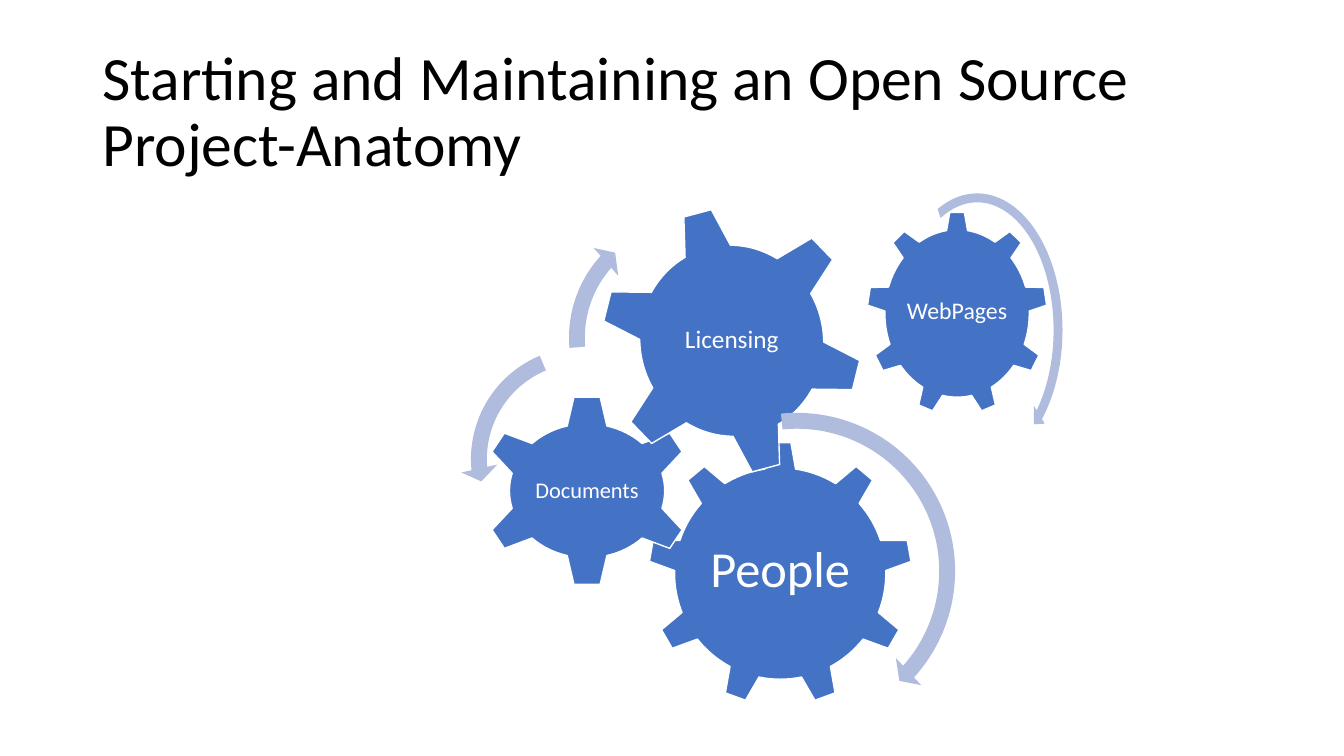
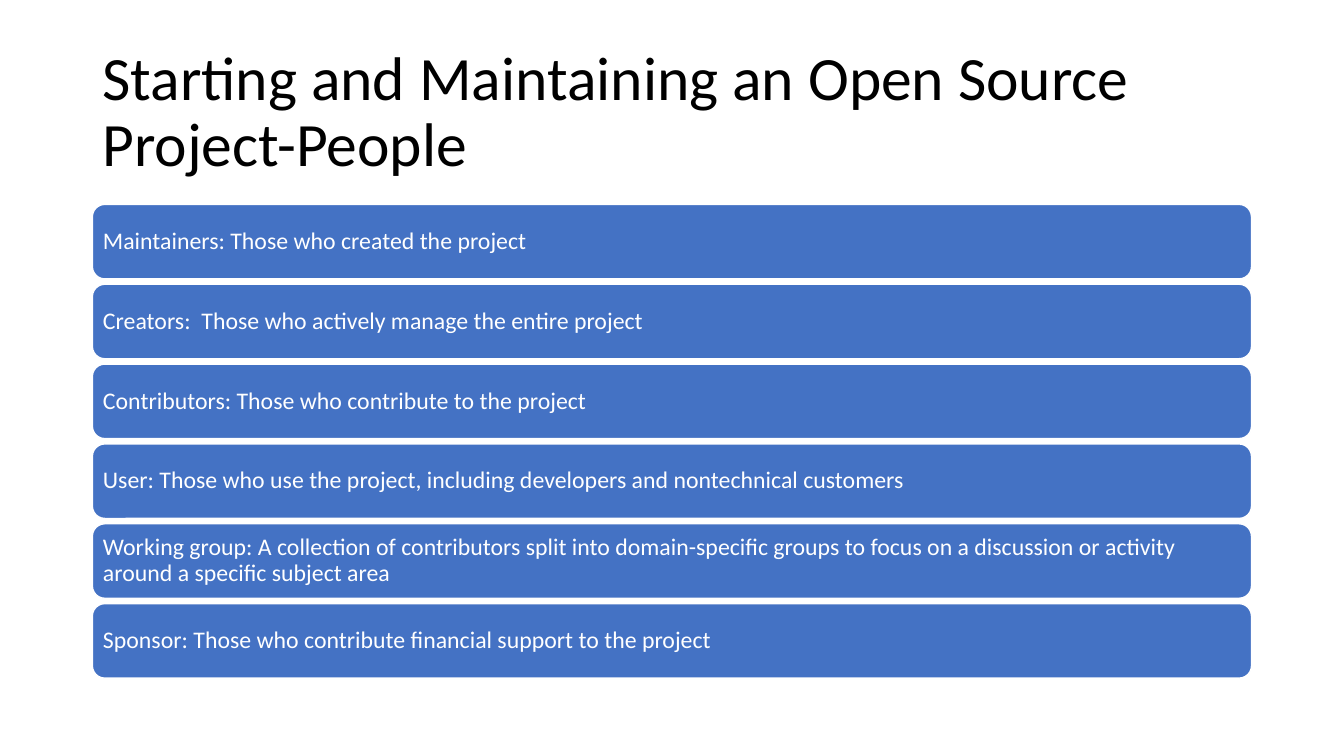
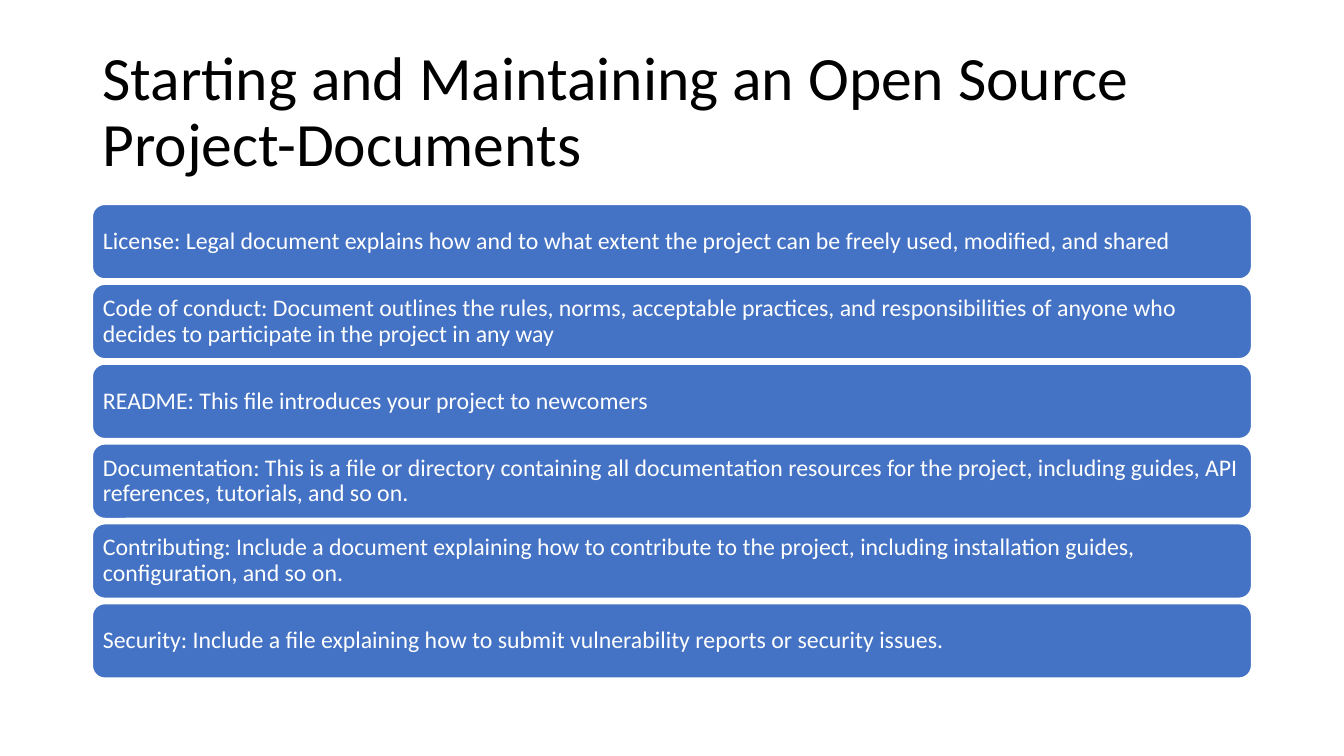
from dataclasses import dataclass
from pptx import Presentation
from pptx.dml.color import RGBColor as Rgb
from pptx.enum.shapes import MSO_SHAPE as Kind
from pptx.enum.text import MSO_ANCHOR as Anchor, MSO_AUTO_SIZE as Fit, PP_ALIGN as Align
from pptx.util import Pt


# Theme: colours, type sizes and shared boxes
@dataclass(frozen=True)
class Theme:
    font: str = "Calibri"
    ink: str = "000000"
    white: str = "FFFFFF"
    blue: str = "4472C4"
    pale: str = "B0BCDE"
    head: int = 44
    hero: int = 36
    large: int = 18
    body: int = 17
    small: int = 16
    page: tuple = (960, 540)
    title: tuple = (66, 28.8, 828, 104.4)
    rows: tuple = (66, 146, 828, 338.4)
    gears: tuple = (324, 132, 440, 372)


T = Theme()
LEAD = "Starting and Maintaining an Open Source Project-"

# Label, kind, place inside the region, type size, turn
GEARS = [
    ("People", Kind.GEAR_9, (139, 183.4, 188.6, 188.6), T.hero, 0),
    ("Documents", Kind.GEAR_6, (19.4, 150.2, 151.9, 136.8), T.small, 0),
    ("Licensing", Kind.GEAR_6, (105.1, 14.9, 187.2, 193), T.large, -15),
    ("WebPages", Kind.GEAR_9, (295.2, 19.2, 128.9, 145.4), T.body, 0),
]

# Kind, place, band (%), head angle, end angle, start angle, head width (%)
ARROWS = [
    (Kind.CIRCULAR_ARROW, (124.6, 155.3, 241.2, 241.2), 4.7, 4.98, 42, 264.22, 5.5),
    (Kind.LEFT_CIRCULAR_ARROW, (5, 108.5, 175, 175), 6.5, 7.17, 174.82, 247.3, 7.5),
    (Kind.CIRCULAR_ARROW, (74.9, 14.9, 188.6, 188.6), 6, 6.57, 221.9, 175.14, 7),
    (Kind.CIRCULAR_ARROW, (308.9, 1.9, 130.3, 203.8), 4.9, 5.21, 53.74, 251.9, 5.7),
]

PEOPLE = [
    "Maintainers: Those who created the project",
    "Creators:  Those who actively manage the entire project",
    "Contributors: Those who contribute to the project",
    "User: Those who use the project, including developers and nontechnical customers",
    "Working group: A collection of contributors split into domain-specific groups "
    "to focus on a discussion or activity around a specific subject area",
    "Sponsor: Those who contribute financial support to the project",
]

PAPERS = [
    "License: Legal document explains how and to what extent the project can be "
    "freely used, modified, and shared",
    "Code of conduct: Document outlines the rules, norms, acceptable practices, and "
    "responsibilities of anyone who decides to participate in the project in any way",
    "README: This file introduces your project to newcomers",
    "Documentation: This is a file or directory containing all documentation resources "
    "for the project, including guides, API references, tutorials, and so on.",
    "Contributing: Include a document explaining how to contribute to the project, "
    "including installation guides, configuration, and so on.",
    "Security: Include a file explaining how to submit vulnerability reports or "
    "security issues.",
]


def write(shape, text, size=T.body, color=T.white, align=Align.LEFT, wrap=True, pad=5):
    frame = shape.text_frame
    frame.text = text
    frame.auto_size = Fit.NONE
    frame.word_wrap = wrap
    frame.vertical_anchor = Anchor.MIDDLE
    frame.margin_left = frame.margin_right = Pt(pad)
    frame.margin_top = frame.margin_bottom = Pt(3.6)
    para = frame.paragraphs[0]
    para.alignment, para.line_spacing = align, 0.9
    font = para.font
    font.name, font.size = T.font, Pt(size)
    font.color.rgb = Rgb.from_string(color)


def draw(slide, kind, box, fill, line=None):
    shape = slide.shapes.add_shape(kind, *map(Pt, box))
    shape.shadow.inherit = False
    shape.fill.solid()
    shape.fill.fore_color.rgb = Rgb.from_string(fill)
    if line:
        shape.line.color.rgb = Rgb.from_string(line)
        shape.line.width = Pt(1)
    else:
        shape.line.fill.background()
    return shape


def start(deck, topic):
    slide = deck.slides.add_slide(deck.slide_layouts[5])
    title = slide.shapes.title
    title.left, title.top, title.width, title.height = map(Pt, T.title)
    write(title, LEAD + topic, size=T.head, color=T.ink, pad=7.2)
    return slide


# Meshing gears with the arrows that show their turn
def train(slide, box):
    def place(part):
        left, top, *size = part
        return (box[0] + left, box[1] + top, *size)

    for name, kind, part, size, turn in GEARS:
        gear = draw(slide, kind, place(part), T.blue, T.white)
        gear.rotation = turn
        # A turned gear gets a level label of its own
        label = slide.shapes.add_textbox(*map(Pt, place(part))) if turn else gear
        write(label, name, size=size, align=Align.CENTER, wrap=False, pad=2)

    for kind, part, band, *angles, head in ARROWS:
        arrow = draw(slide, kind, place(part), T.pale)
        values = [band / 100, *(angle * 0.6 for angle in angles), head / 100]
        for index, value in enumerate(values):
            arrow.adjustments[index] = value


# Stack of equal bars
def stack(slide, box, items, gap=3.8):
    left, top, width, height = box
    tall = (height - gap * (len(items) - 1)) / len(items)
    for index, text in enumerate(items):
        spot = (left, top + index * (tall + gap), width, tall)
        write(draw(slide, Kind.ROUNDED_RECTANGLE, spot, T.blue, T.white), text)


def main():
    deck = Presentation()
    deck.slide_width, deck.slide_height = map(Pt, T.page)
    train(start(deck, "Anatomy"), T.gears)
    for topic, items in (("People", PEOPLE), ("Documents", PAPERS)):
        stack(start(deck, topic), T.rows, items)
    deck.save("out.pptx")


if __name__ == "__main__":
    main()
